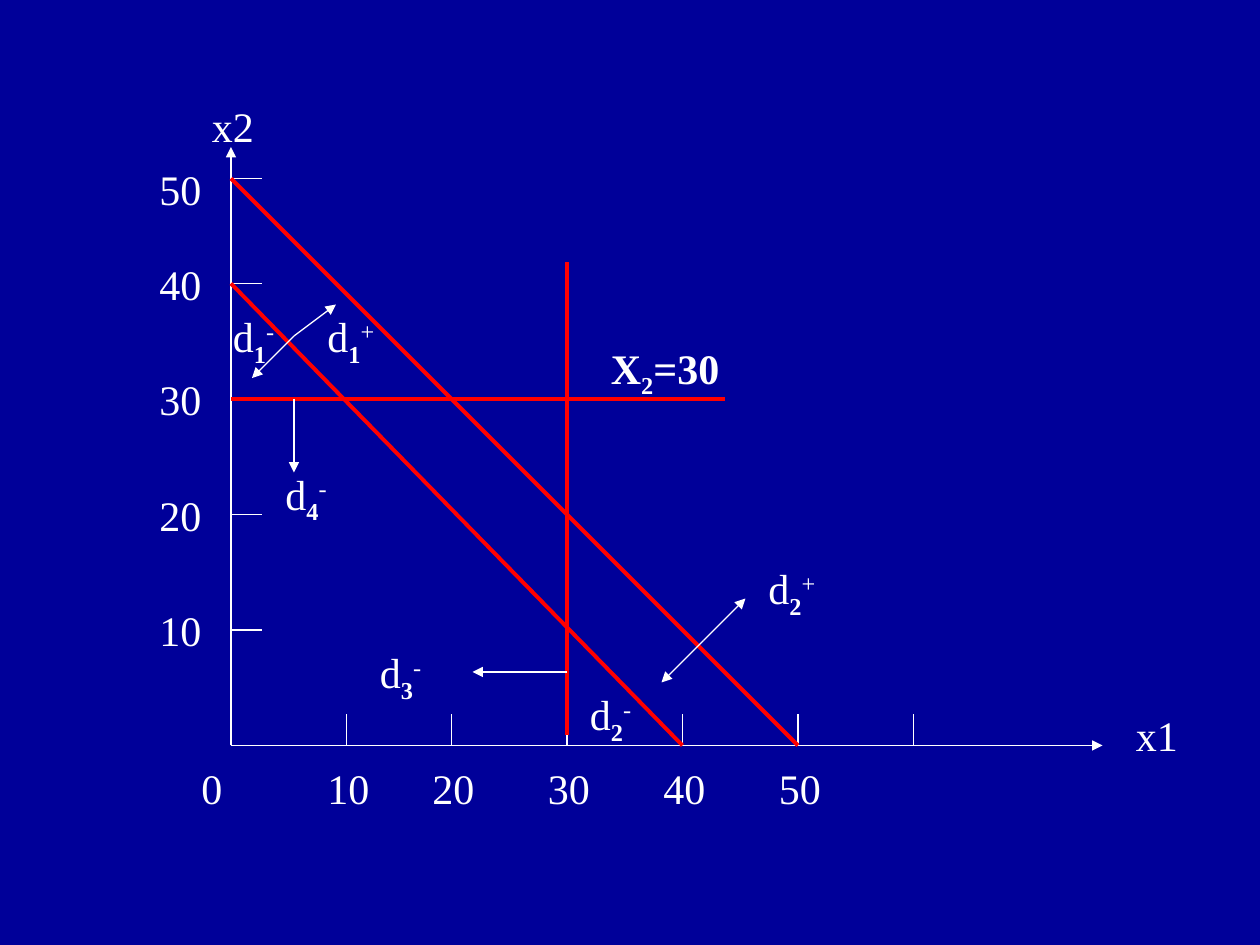
from pptx import Presentation
from pptx.dml.color import RGBColor
from pptx.enum.shapes import MSO_CONNECTOR
from pptx.enum.text import MSO_AUTO_SIZE
from pptx.oxml.ns import qn
from pptx.util import Inches, Pt
from lxml.etree import SubElement

COLORS = {"background": "000099", "axis": "FFFFFF", "constraint": "FF0000", "text": "FFFFFF"}
FONT = "Times New Roman"
COLUMNS, ROWS = 120, 90
BASELINES = {"sub": "-25000", "super": "30000"}

presentation = Presentation()
presentation.slide_width, presentation.slide_height = Inches(10), Inches(7.5)
column = presentation.slide_width / COLUMNS
row = presentation.slide_height / ROWS
slide = presentation.slides.add_slide(presentation.slide_layouts[6])
slide.background.fill.solid()
slide.background.fill.fore_color.rgb = RGBColor.from_string(COLORS["background"])


def add_line(start, end, color="axis", width=0.75, arrow=False):
    connector = slide.shapes.add_connector(
        MSO_CONNECTOR.STRAIGHT,
        round(start[0] * column), round(start[1] * row),
        round(end[0] * column), round(end[1] * row),
    )
    connector.line.color.rgb = RGBColor.from_string(COLORS[color])
    connector.line.width = Pt(width)
    if arrow:
        SubElement(connector.line._get_or_add_ln(), qn("a:tailEnd"), type="triangle")
    SubElement(connector._element.spPr, qn("a:effectLst"))


def add_label(left, top, width, runs, height=6):
    shape = slide.shapes.add_textbox(
        round(left * column), round(top * row), round(width * column), round(height * row)
    )
    shape.text_frame.word_wrap = True
    shape.text_frame.auto_size = MSO_AUTO_SIZE.SHAPE_TO_FIT_TEXT
    paragraph = shape.text_frame.paragraphs[0]
    for text, bold, position in runs:
        run = paragraph.add_run()
        run.text = text
        run.font.name = FONT
        run.font.size = Pt(24)
        run.font.bold = bold
        run.font.color.rgb = RGBColor.from_string(COLORS["text"])
        if position:
            run._r.get_or_add_rPr().set("baseline", BASELINES[position])


origin_x, origin_y = 22, 71
tick = 3
x_ticks = [33, 43, 54, 65, 76, 87]
y_ticks = [60, 49, 38, 27, 17]
y_label_tops = [57, 46, 35, 24, 15]
values = ["10", "20", "30", "40", "50"]

add_line((origin_x, origin_y), (105, origin_y), arrow=True)
add_line((origin_x, origin_y), (origin_x, 14), arrow=True)
for x in x_ticks:
    add_line((x, origin_y), (x, origin_y - tick))
for y in y_ticks:
    add_line((origin_x, y), (origin_x + tick, y))

for text, left, top, width in [("x1", 107, 67, 7), ("x2", 19, 9, 8), ("0", 18, 72, 5)]:
    add_label(left, top, width, [(text, False, None)])
for value, x, top in zip(values, x_ticks, y_label_tops):
    add_label(x - 3, 72, 8, [(value, False, None)])
    add_label(14, top, 8, [(value, False, None)])

constraints = [
    ((origin_x, y_ticks[3]), (x_ticks[3], origin_y)),
    ((origin_x, y_ticks[4]), (x_ticks[4], origin_y)),
    ((origin_x, y_ticks[2]), (69, y_ticks[2])),
    ((x_ticks[2], 70), (x_ticks[2], 25)),
]
for start, end in constraints:
    add_line(start, end, "constraint", 2.25)

deviation_arrows = [
    ((28, 32), (32, 29)),
    ((28, 32), (24, 36)),
    ((67, 61), (71, 57)),
    ((67, 61), (63, 65)),
    ((x_ticks[2], 64), (45, 64)),
    ((28, y_ticks[2]), (28, 45)),
]
for start, end in deviation_arrows:
    add_line(start, end, arrow=True)

deviation_labels = [
    ("1", "-", 21, 29, 7),
    ("1", "+", 30, 29, 8),
    ("2", "+", 72, 53, 10),
    ("2", "-", 55, 65, 10),
    ("3", "-", 35, 61, 7),
    ("4", "-", 26, 44, 10),
]
for index, sign, left, top, width in deviation_labels:
    runs = [("d", False, None), (index, True, "sub"), (sign, False, "super")]
    add_label(left, top, width, runs, 6.75)

add_label(57, 32, 15, [("X", True, None), ("2", True, "sub"), ("=30", True, None)], 6.75)

presentation.save("out.pptx")
